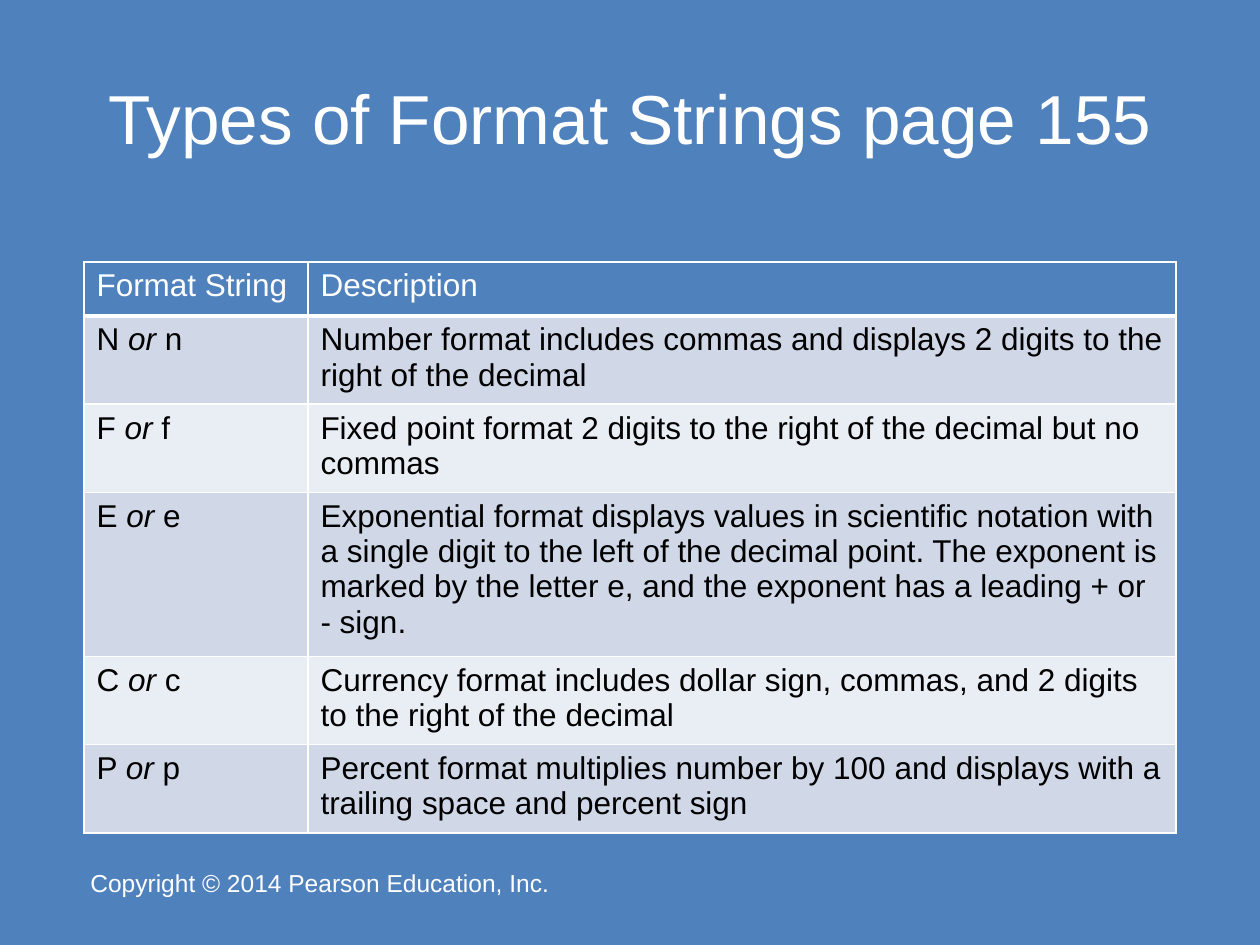
from pptx import Presentation
from pptx.dml.color import RGBColor
from pptx.enum.text import MSO_ANCHOR as Anchor, PP_ALIGN as Align
from pptx.oxml import parse_xml
from pptx.oxml.ns import nsdecls
from pptx.util import Emu, Pt

COLORS = {
    "background": "4F81BD",
    "light": "FFFFFF",
    "dark": "000000",
    "odd_row": "D0D8E8",
    "even_row": "E9EDF4",
}
FORMATS = [
    ("N", "Number format includes commas and displays 2 digits to the right of the decimal"),
    ("F", "Fixed point format 2 digits to the right of the decimal but no commas"),
    ("E", "Exponential format displays values in scientific notation with a single digit "
          "to the left of the decimal point. The exponent is marked by the letter e, "
          "and the exponent has a leading + or - sign."),
    ("C", "Currency format includes dollar sign, commas, and 2 digits to the right of the decimal"),
    ("P", "Percent format multiplies number by 100 and displays with a trailing space and percent sign"),
]
COLUMN_WIDTHS = [224, 868]
ROW_HEIGHTS = [54, 87, 87, 153, 87, 87]


def px(length):
    return Emu(round(length * 914400 / 126))


def rgb(name):
    return RGBColor.from_string(COLORS[name])


class SlideBuilder:
    font_name = "Arial"

    def __init__(self, presentation):
        self.slide = presentation.slides.add_slide(presentation.slide_layouts[5])
        self.slide.background.fill.solid()
        self.slide.background.fill.fore_color.rgb = rgb("background")

    def style(self, paragraph, size, color):
        font = paragraph.font
        font.name, font.size, font.bold = self.font_name, Pt(size), False
        font.color.rgb = rgb(color)

    def centre(self, frame, text, size):
        frame.word_wrap = True
        frame.vertical_anchor = Anchor.MIDDLE
        paragraph = frame.paragraphs[0]
        paragraph.text = text
        paragraph.alignment = Align.CENTER
        self.style(paragraph, size, "light")

    def title(self, text, left, top, width, height, size):
        heading = self.slide.shapes.title
        heading.left, heading.top = px(left), px(top)
        heading.width, heading.height = px(width), px(height)
        self.centre(heading.text_frame, text, size)

    def label(self, text, left, top, width, height, size):
        box = self.slide.shapes.add_textbox(px(left), px(top), px(width), px(height))
        self.centre(box.text_frame, text, size)

    def borders(self, cell, bottom):
        properties = cell._tc.get_or_add_tcPr()
        for side, points in (("L", 1), ("R", 1), ("T", 1), ("B", bottom)):
            properties.append(parse_xml(
                f'<a:ln{side} {nsdecls("a")} w="{Pt(points)}"><a:solidFill>'
                f'<a:srgbClr val="{COLORS["light"]}"/></a:solidFill></a:ln{side}>'))

    def cell(self, cell, parts, color, fill, bottom=1):
        self.borders(cell, bottom)
        cell.fill.solid()
        cell.fill.fore_color.rgb = rgb(fill)
        paragraph = cell.text_frame.paragraphs[0]
        for text, italic in parts:
            run = paragraph.add_run()
            run.text = text
            if italic:
                run.font.italic = True
        self.style(paragraph, 18, color)

    def table(self, headings, formats, left, top):
        table = self.slide.shapes.add_table(
            len(ROW_HEIGHTS), len(COLUMN_WIDTHS), px(left), px(top),
            px(sum(COLUMN_WIDTHS)), px(sum(ROW_HEIGHTS))).table
        for column, width in zip(table.columns, COLUMN_WIDTHS):
            column.width = px(width)
        for row, height in zip(table.rows, ROW_HEIGHTS):
            row.height = px(height)
        for index, heading in enumerate(headings):
            self.cell(table.cell(0, index), [(heading, False)], "light", "background", 3)
        for index, (letter, description) in enumerate(formats, 1):
            fill = "odd_row" if index % 2 else "even_row"
            code = [(f"{letter} ", False), ("or", True), (f" {letter.lower()}", False)]
            self.cell(table.cell(index, 0), code, "dark", fill)
            self.cell(table.cell(index, 1), [(description, False)], "dark", fill)


def main():
    presentation = Presentation()
    presentation.slide_width, presentation.slide_height = px(1260), px(945)
    builder = SlideBuilder(presentation)
    builder.label("Copyright © 2014 Pearson Education, Inc.", 63, 861, 514, 44, 14)
    builder.title("Types of Format Strings page 155", 63, 38, 1134, 158, 39.6)
    builder.table(["Format String", "Description"], FORMATS, 84, 262)
    presentation.save("out.pptx")


if __name__ == "__main__":
    main()
